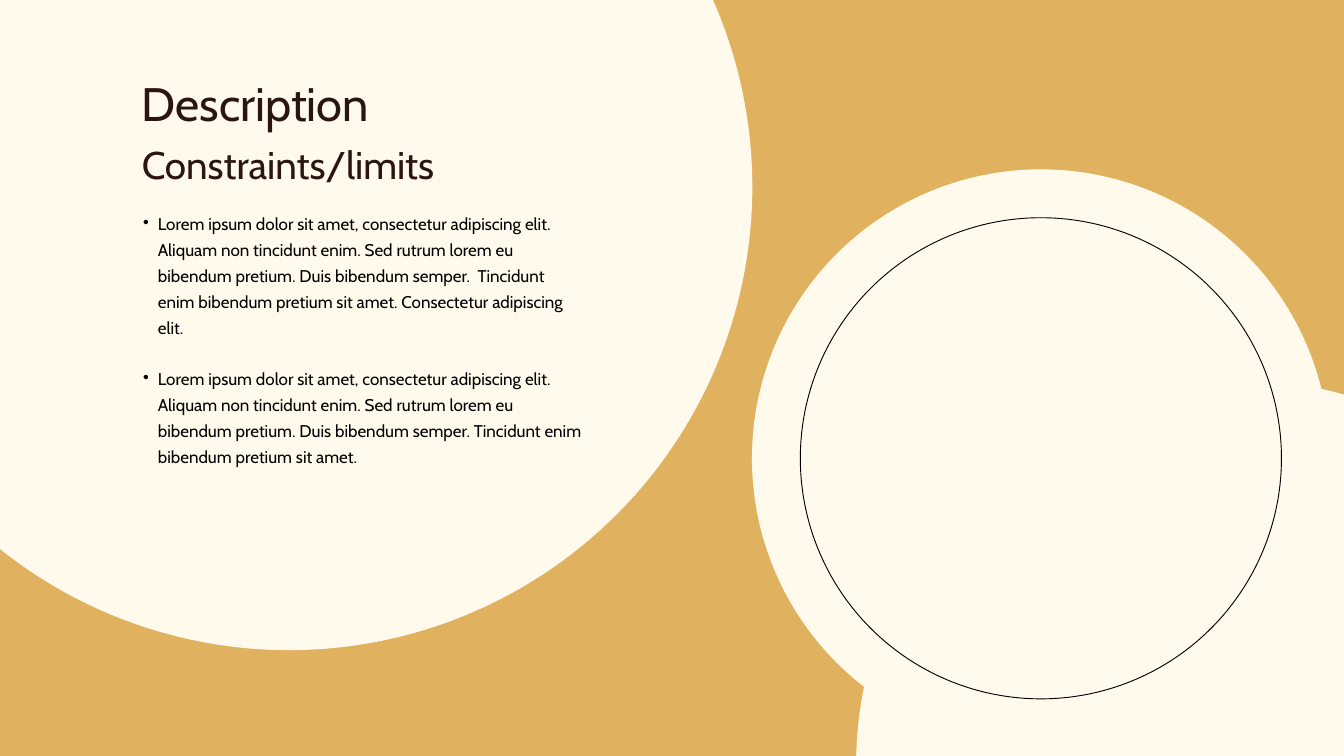
"""Build the description slide: overlapping circles, two headings and a bulleted text."""
from dataclasses import dataclass
from typing import Optional

from lxml.etree import SubElement
from pptx import Presentation
from pptx.dml.color import RGBColor
from pptx.enum.shapes import MSO_SHAPE as Shape
from pptx.oxml.ns import qn
from pptx.slide import Slide
from pptx.util import Inches, Pt

GOLD = RGBColor(0xE0, 0xB1, 0x5E)
CREAM = RGBColor(0xFF, 0xFA, 0xEB)
BROWN = RGBColor(0x2B, 0x15, 0x11)
BLACK = RGBColor(0x00, 0x00, 0x00)

FONT = "Cabin"
COLUMNS, ROWS = 20, 11.25
CELL = Inches(1)
BULLET_MARGIN, BULLET_HANG = 0.43, 0.22


@dataclass(frozen=True)
class Circle:
    """A circle by centre and diameter in grid cells."""
    column: float
    row: float
    diameter: float
    fill: Optional[RGBColor] = None
    line: Optional[RGBColor] = None


@dataclass(frozen=True)
class TextBlock:
    """A text box in grid cells, with one style for all its paragraphs."""
    column: float
    row: float
    width: float
    height: float
    size: float
    line_spacing: float
    color: RGBColor
    paragraphs: tuple[str, ...]
    bulleted: bool = False


CIRCLES = (
    Circle(18.46, 11.38, 11.44, fill=CREAM),
    Circle(4.3, 2.78, 13.79, fill=CREAM),
    Circle(15.49, 6.82, 8.6, fill=CREAM),
    Circle(15.49, 6.82, 7.16, line=BLACK),
)

TEXT_BLOCKS = (
    TextBlock(2.11, 1.11, 4.39, 0.84, 50.3, 60.4, BROWN, ("Description",)),
    TextBlock(2.11, 2.1, 6.8, 0.68, 41.3, 49.5, BROWN, ("Constraints/limits",)),
    TextBlock(1.92, 3.1, 6.76, 3.72, 18.2, 27.7, BLACK, (
        "Lorem ipsum dolor sit amet, consectetur adipiscing elit. Aliquam non tincidunt enim. "
        "Sed rutrum lorem eu bibendum pretium. Duis bibendum semper.  Tincidunt enim bibendum "
        "pretium sit amet. Consectetur adipiscing elit.",
        "Lorem ipsum dolor sit amet, consectetur adipiscing elit. Aliquam non tincidunt enim. "
        "Sed rutrum lorem eu bibendum pretium. Duis bibendum semper. Tincidunt enim bibendum "
        "pretium sit amet.",
    ), bulleted=True),
)


def cells(count: float) -> int:
    """Return the length of a number of grid cells."""
    return int(count * CELL)


def draw_circle(slide: Slide, circle: Circle) -> None:
    """Draw a filled or outlined circle."""
    radius = circle.diameter / 2
    shape = slide.shapes.add_shape(
        Shape.OVAL, cells(circle.column - radius), cells(circle.row - radius),
        cells(circle.diameter), cells(circle.diameter))
    shape.shadow.inherit = False
    if circle.fill is None:
        shape.fill.background()
    else:
        shape.fill.solid()
        shape.fill.fore_color.rgb = circle.fill
    if circle.line is None:
        shape.line.fill.background()
    else:
        shape.line.color.rgb = circle.line
        shape.line.width = Pt(1)


def draw_text(slide: Slide, block: TextBlock) -> None:
    """Draw a text box, with bullets a blank line apart if asked for."""
    box = slide.shapes.add_textbox(
        cells(block.column), cells(block.row), cells(block.width), cells(block.height))
    frame = box.text_frame
    frame.word_wrap = True
    frame.margin_left = frame.margin_top = frame.margin_right = frame.margin_bottom = 0
    frame.text = "\n".join(block.paragraphs)
    for index, paragraph in enumerate(frame.paragraphs):
        paragraph.line_spacing = Pt(block.line_spacing)
        if block.bulleted:
            paragraph.space_before = Pt(block.line_spacing if index else 0)
            properties = paragraph._p.get_or_add_pPr()
            properties.set("marL", str(cells(BULLET_MARGIN)))
            properties.set("indent", str(-cells(BULLET_HANG)))
            SubElement(properties, qn("a:buChar"), char="•")
        paragraph.font.name = FONT
        paragraph.font.size = Pt(block.size)
        paragraph.font.color.rgb = block.color


def main() -> None:
    """Build and save the presentation."""
    presentation = Presentation()
    presentation.slide_width = cells(COLUMNS)
    presentation.slide_height = cells(ROWS)
    slide = presentation.slides.add_slide(presentation.slide_layouts[6])
    slide.background.fill.solid()
    slide.background.fill.fore_color.rgb = GOLD
    for circle in CIRCLES:
        draw_circle(slide, circle)
    for block in TEXT_BLOCKS:
        draw_text(slide, block)
    presentation.save("out.pptx")


if __name__ == "__main__":
    main()
